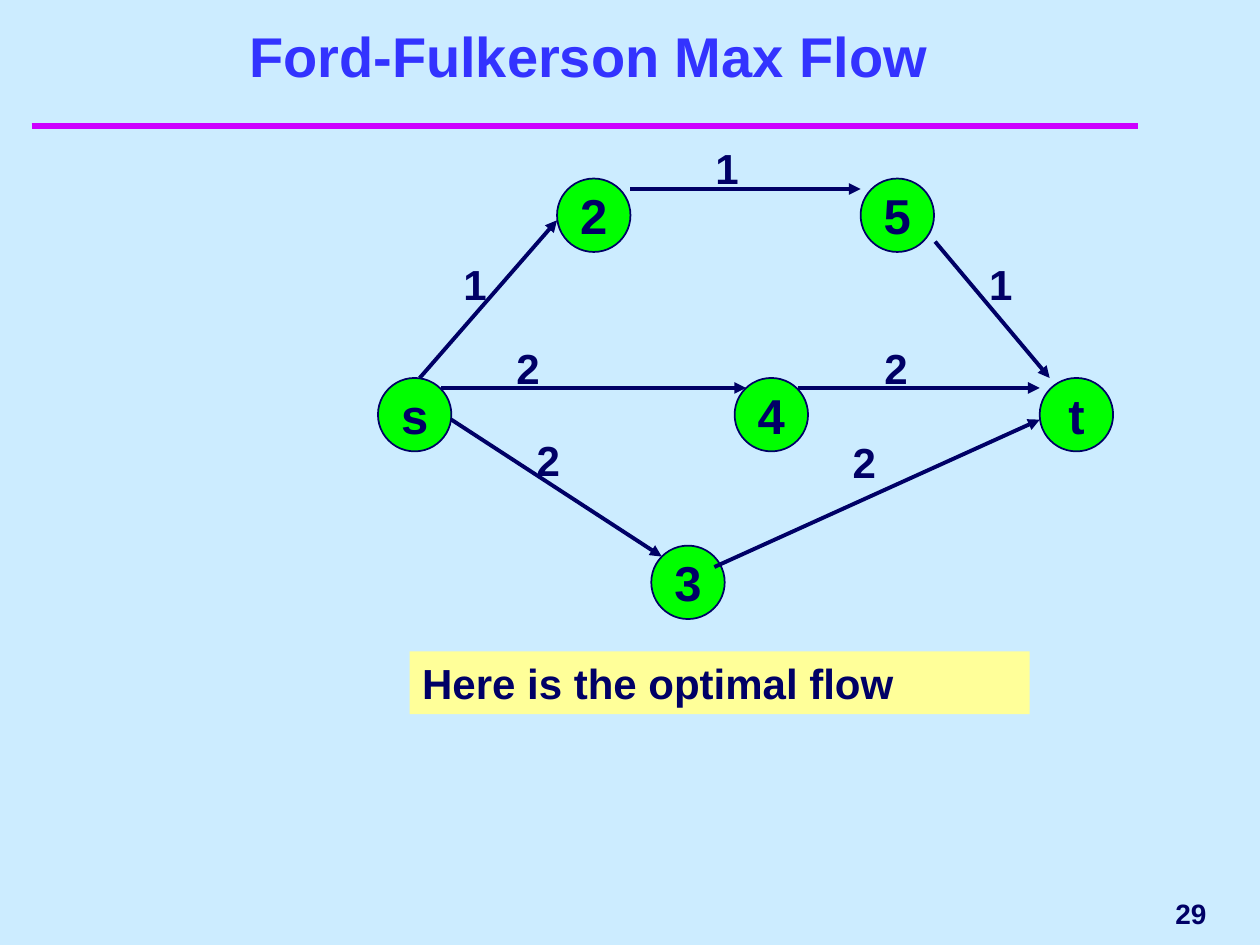
import pptx
import pptx.dml.color
import pptx.enum.dml
import pptx.enum.shapes
import pptx.enum.text
import pptx.oxml
import pptx.util

Cm = pptx.util.Cm
Pt = pptx.util.Pt
RGBColor = pptx.dml.color.RGBColor
Align = pptx.enum.text.PP_ALIGN
Anchor = pptx.enum.text.MSO_ANCHOR
AutoSize = pptx.enum.text.MSO_AUTO_SIZE
ShapeType = pptx.enum.shapes.MSO_SHAPE

SKY = RGBColor(0xCC, 0xEC, 0xFF)
BLUE = RGBColor(0x33, 0x33, 0xFF)
NAVY = RGBColor(0x00, 0x00, 0x66)
MAGENTA = RGBColor(0xCC, 0x00, 0xFF)
GREEN = RGBColor(0x00, 0xFF, 0x00)
YELLOW = RGBColor(0xFF, 0xFF, 0x99)

NODE_SIZE = 1.48
LABEL_SIZE = (1.5, 1.27)
NODES = [
    ("s", 0, 4.88),
    ("2", 3.61, 0.86),
    ("4", 7.19, 4.88),
    ("5", 9.73, 0.86),
    ("3", 5.51, 8.26),
    ("t", 13.34, 4.88),
]
# flow, label position, start, end
EDGES = [
    ("2", (2.95, 5.89), (1.48, 5.72), (5.72, 8.48)),
    ("1", (1.47, 2.34), (0.84, 4.88), (3.61, 1.7)),
    ("2", (2.54, 4.04), (1.27, 5.08), (7.42, 5.08)),
    ("1", (6.55, 0), (5.08, 1.07), (9.73, 1.07)),
    ("2", (9.96, 4.04), (8.46, 5.08), (13.34, 5.08)),
    ("2", (9.32, 5.94), (6.78, 8.69), (13.34, 5.72)),
    ("1", (12.07, 2.34), (11.23, 2.13), (13.54, 4.88)),
]


def write_text(shape, text, size, color=NAVY, align=Align.LEFT,
               anchor=Anchor.TOP, wrap=True):
    frame = shape.text_frame
    frame.auto_size = AutoSize.NONE
    frame.word_wrap = wrap
    frame.vertical_anchor = anchor
    paragraph = frame.paragraphs[0]
    paragraph.alignment = align
    run = paragraph.add_run()
    run.text = text
    run.font.name = "Arial"
    run.font.size = Pt(size)
    run.font.bold = True
    run.font.color.rgb = color


def add_line(shapes, start, end, color, width, arrow=False):
    line = shapes.add_connector(
        pptx.enum.shapes.MSO_CONNECTOR.STRAIGHT,
        Cm(start[0]), Cm(start[1]), Cm(end[0]), Cm(end[1]))
    line.line.color.rgb = color
    line.line.width = Pt(width)
    if arrow:
        outline = line.line._get_or_add_ln()
        outline.append(pptx.oxml.parse_xml(
            '<a:tailEnd xmlns:a="http://schemas.openxmlformats.org/'
            'drawingml/2006/main" type="triangle"/>'))
    line._element.spPr.append(pptx.oxml.parse_xml(
        '<a:effectLst xmlns:a="http://schemas.openxmlformats.org/'
        'drawingml/2006/main"/>'))


def add_filled_shape(shapes, kind, left, top, width, height, fill):
    shape = shapes.add_shape(kind, Cm(left), Cm(top), Cm(width), Cm(height))
    shape.shadow.inherit = False
    shape.fill.solid()
    shape.fill.fore_color.rgb = fill
    shape.line.fill.background()
    return shape


def add_header(slide, left, top, width):
    add_line(slide.shapes, (left, top + 1.7), (left + width, top + 1.7),
             MAGENTA, 4)
    title = slide.shapes.title
    title.left, title.top = Cm(left + 0.43), Cm(top)
    title.width, title.height = Cm(21.59), Cm(1.07)
    write_text(title, "Ford-Fulkerson Max Flow", 32, BLUE,
               Align.CENTER, Anchor.BOTTOM)


def add_flow_network(slide, left, top):
    shapes = slide.shapes.add_group_shape().shapes
    for flow, (x, y), _, _ in EDGES:
        label = shapes.add_textbox(Cm(left + x), Cm(top + y),
                                   Cm(LABEL_SIZE[0]), Cm(LABEL_SIZE[1]))
        write_text(label, flow, 24)
    for name, x, y in NODES:
        node = add_filled_shape(shapes, ShapeType.OVAL, left + x, top + y,
                                NODE_SIZE, NODE_SIZE, GREEN)
        node.line.color.rgb = NAVY
        node.line.width = Pt(1)
        write_text(node, name, 28, align=Align.CENTER,
                   anchor=Anchor.MIDDLE, wrap=False)
    for _, _, start, end in EDGES:
        add_line(shapes, (left + start[0], top + start[1]),
                 (left + end[0], top + end[1]), NAVY, 2.25, arrow=True)


def add_caption(slide, left, top, width, height):
    caption = add_filled_shape(slide.shapes, ShapeType.RECTANGLE,
                               left, top, width, height, YELLOW)
    write_text(caption, "Here is the optimal flow", 24)


def add_page_number(slide, left, top, width, height):
    number = slide.shapes.add_textbox(Cm(left), Cm(top), Cm(width), Cm(height))
    write_text(number, "29", 16, align=Align.RIGHT, anchor=Anchor.MIDDLE)


def main():
    presentation = pptx.Presentation()
    presentation.slide_width = Cm(25.4)
    presentation.slide_height = Cm(19.05)
    slide = presentation.slides.add_slide(presentation.slide_layouts[5])
    slide.background.fill.solid()
    slide.background.fill.fore_color.rgb = SKY
    add_header(slide, 0.64, 0.84, 22.3)
    add_flow_network(slide, 7.62, 2.74)
    add_caption(slide, 8.26, 13.13, 12.5, 1.27)
    add_page_number(slide, 19.69, 17.78, 4.88, 1.27)
    presentation.save("out.pptx")


if __name__ == "__main__":
    main()
